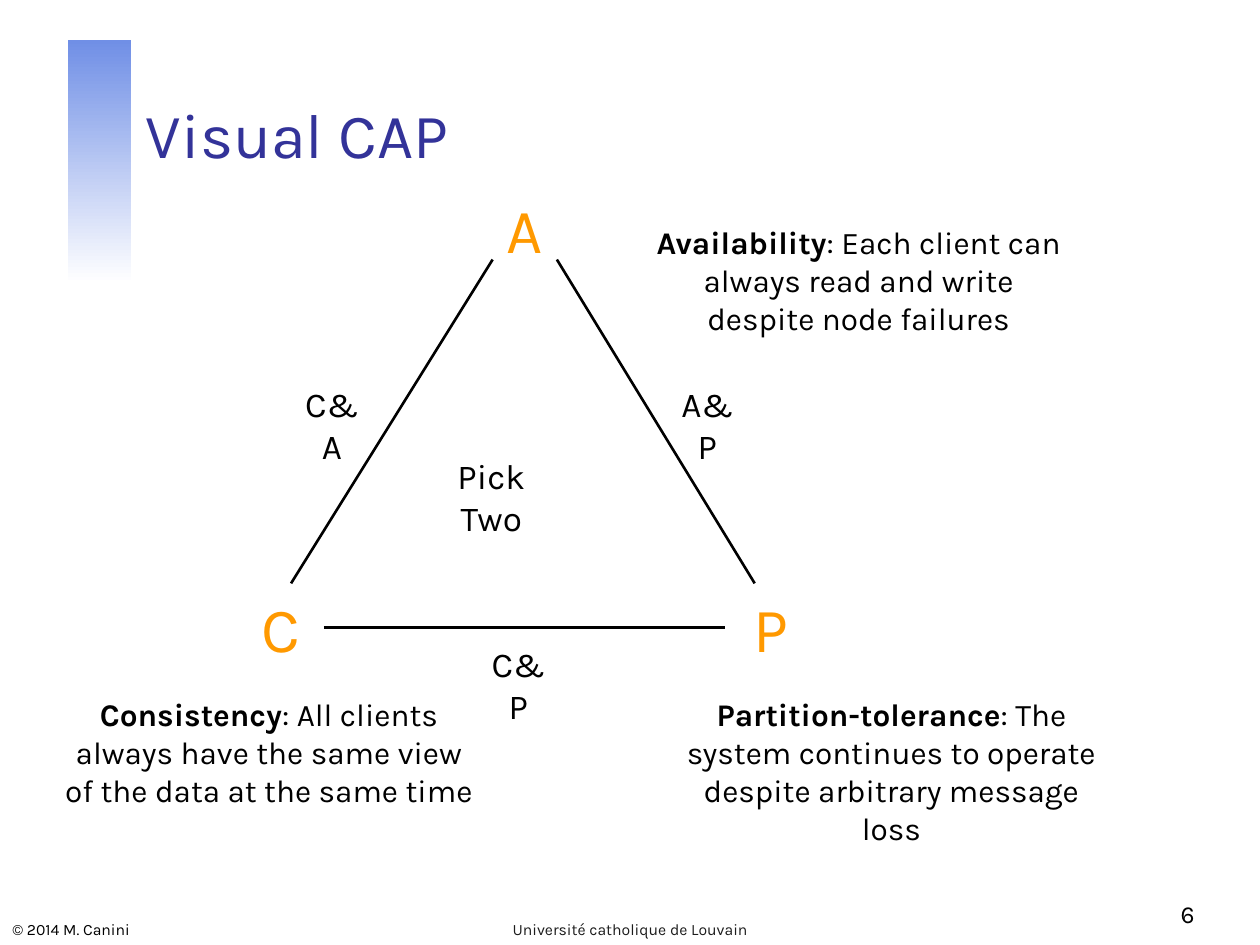
from lxml import etree
from pptx import Presentation
from pptx.dml.color import RGBColor
from pptx.enum.shapes import MSO_CONNECTOR, MSO_SHAPE
from pptx.enum.text import MSO_ANCHOR, PP_ALIGN
from pptx.oxml.ns import qn
from pptx.util import Inches, Pt

BLACK = RGBColor(0x00, 0x00, 0x00)
CHARCOAL = RGBColor(0x1C, 0x1C, 0x1C)
WHITE = RGBColor(0xFF, 0xFF, 0xFF)
NAVY = RGBColor(0x33, 0x33, 0x99)
ORANGE = RGBColor(0xFF, 0x99, 0x00)
BLUE = RGBColor(0x70, 0x8F, 0xE6)
LEFT, CENTER, RIGHT = PP_ALIGN.LEFT, PP_ALIGN.CENTER, PP_ALIGN.RIGHT
TOP, BOTTOM = MSO_ANCHOR.TOP, MSO_ANCHOR.BOTTOM
STRAIGHT, RECTANGLE = MSO_CONNECTOR.STRAIGHT, MSO_SHAPE.RECTANGLE
INSET = 0.1


def add_run(p, text, font="Karla", size=18, color=BLACK, bold=False):
    r = p.add_run()
    r.text = text
    r.font.name = font
    r.font.size = Pt(size)
    r.font.color.rgb = color
    r.font.bold = bold


class Deck:
    def __init__(self, width, height):
        self.prs = Presentation()
        self.prs.slide_width = Inches(width)
        self.prs.slide_height = Inches(height)
        self.s = self.prs.slides.add_slide(self.prs.slide_layouts[6])

    def text(self, box, text, align=CENTER, anchor=TOP, wrap=True,
             text_width=None, term=None, **style):
        sp = self.s.shapes.add_textbox(*map(Inches, box))
        tf = sp.text_frame
        tf.word_wrap = wrap
        tf.vertical_anchor = anchor
        if text_width:
            tf.margin_right = Inches(box[2] - INSET - text_width)
        p = tf.paragraphs[0]
        p.alignment = align
        if term:
            add_run(p, term, bold=True, **style)
        add_run(p, text, **style)

    def line(self, x1, y1, x2, y2):
        sp = self.s.shapes.add_connector(STRAIGHT, *map(Inches, (x1, y1, x2, y2)))
        sp.line.color.rgb = BLACK
        sp.line.width = Pt(1.5)
        etree.SubElement(sp._element.spPr, qn("a:effectLst"))

    def gradient_bar(self, box, start, end):
        sp = self.s.shapes.add_shape(RECTANGLE, *map(Inches, box))
        sp.shadow.inherit = False
        sp.line.fill.background()
        sp.fill.gradient()
        sp.fill.gradient_angle = 270
        for stop, color in zip(sp.fill.gradient_stops, (start, end)):
            stop.color.rgb = color


def main():
    deck = Deck(10, 7.5)
    deck.gradient_bar((0.54, 0.32, 0.5, 1.93), BLUE, WHITE)
    deck.text((0, 7.22, 3.02, 0.28), "© 2014 M. Canini", LEFT, BOTTOM, size=9)
    deck.text((1.06, 0.33, 8.52, 1.08), "Visual CAP", LEFT, BOTTOM,
              size=36, color=NAVY)
    deck.text((7.5, 6.92, 2.08, 0.5), "6", RIGHT, BOTTOM, size=14)
    deck.text((3.42, 7.22, 3.16, 0.28), "Université catholique de Louvain",
              anchor=BOTTOM, size=9, color=CHARCOAL)

    corners = [("A", 3.91, 1.46, 0.51), ("C", 1.97, 4.63, 0.51),
               ("P", 5.88, 4.63, 0.48)]
    for letter, x, y, width in corners:
        deck.text((x, y, width, 0.71), letter, wrap=False, size=36, color=ORANGE)

    sides = [(2.31, 4.63, 3.91, 2.06), (5.99, 4.63, 4.42, 2.06),
             (2.57, 4.98, 5.75, 4.98)]
    for side in sides:
        deck.line(*side)

    labels = [("Pick Two", 3.52, 3.56, 1.28, 0.56), ("C&P", 3.8, 5.05, 0.71, 0.43),
              ("C&A", 2.32, 2.99, 0.73, 0.43), ("A&P", 5.3, 2.99, 0.71, 0.43)]
    for label, x, y, width, text_width in labels:
        deck.text((x, y, width, 0.44), label, text_width=text_width, size=20)

    definitions = [
        ("Availability", ": Each client can always read and write despite node failures",
         5.08, 1.72, 3.47),
        ("Consistency", ": All clients always have the same view of the data at the same time",
         0.4, 5.47, 3.47),
        ("Partition-tolerance",
         ": The system continues to operate despite arbitrary message loss",
         5.29, 5.47, 3.57),
    ]
    for term, meaning, x, y, width in definitions:
        deck.text((x, y, width, 1.01), meaning, term=term)

    deck.prs.save("out.pptx")


if __name__ == "__main__":
    main()
